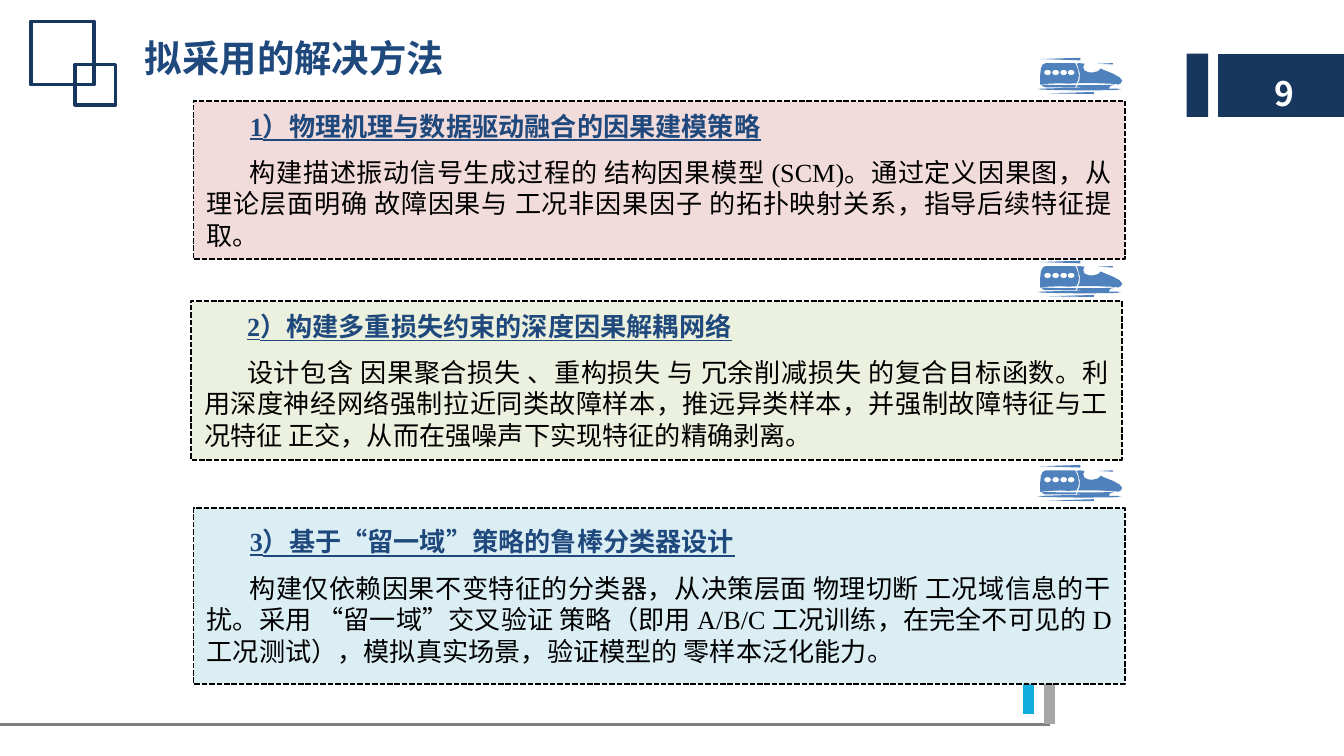
import math

import pptx
import pptx.dml.color
import pptx.enum.dml
import pptx.enum.lang
import pptx.enum.shapes
import pptx.enum.text
import pptx.oxml
import pptx.oxml.ns
import pptx.util

Inches = pptx.util.Inches
Pt = pptx.util.Pt
KIND = pptx.enum.shapes.MSO_SHAPE
HUES = {
    "navy": "17375E", "title": "1F497D", "train": "4F81BD", "cyan": "10ADDF",
    "gray": "808080", "silver": "A6A6A6", "rose": "F2DCDB", "green": "EBF1DE",
    "ice": "DBEEF4", "black": "000000", "white": "FFFFFF",
}
SERIF = "Times New Roman"
SANS = "Noto Sans CJK SC"

NOSE = [(630, 170), (620, 190), (600, 200), (580, 195), (450, 190), (300, 190),
        (312, 170), (315, 120), (300, 60), (290, 45), (310, 40), (350, 45),
        (340, 70), (350, 95), (380, 108), (410, 110), (450, 100), (470, 80),
        (490, 90), (560, 118), (610, 145)]
CABIN = [(20, 200), (20, 130), (25, 80), (38, 52), (60, 40), (280, 40),
         (290, 60), (302, 90), (308, 130), (303, 165), (290, 190), (230, 193),
         (170, 190), (50, 195)]
SKIRT = [(30, 200), (50, 200), (170, 205), (290, 205), (280, 220), (60, 220),
         (40, 213)]
TRACK = [(300, 205), (450, 205), (580, 200), (540, 210), (535, 222), (530, 230),
         (590, 230), (620, 233), (590, 240), (520, 242), (310, 243), (100, 240),
         (30, 237), (0, 233), (30, 230), (100, 228), (200, 225), (310, 225),
         (330, 222), (290, 220)]
STREAKS = [[(320, 0), (20, 10), (320, 20)],
           [(560, 40), (450, 45), (560, 50)],
           [(420, 270), (420, 255), (80, 265)]]

CARDS = [
    (1.44, 0.75, 1.18, "rose", "1）物理机理与数据驱动融合的因果建模策略",
     "构建描述振动信号生成过程的 结构因果模型 (SCM)。通过定义因果图，从理论层面明确 故障因果与 "
     "工况非因果因子 的拓扑映射关系，指导后续特征提取。"),
    (1.42, 2.24, 1.18, "green", "2）构建多重损失约束的深度因果解耦网络",
     "设计包含 因果聚合损失 、重构损失 与 冗余削减损失 的复合目标函数。利用深度神经网络强制拉近同类"
     "故障样本，推远异类样本，并强制故障特征与工况特征 正交，从而在强噪声下实现特征的精确剥离。"),
    (1.44, 3.78, 1.31, "ice", "3）基于“留一域”策略的鲁棒分类器设计",
     "构建仅依赖因果不变特征的分类器，从决策层面 物理切断 工况域信息的干扰。采用 “留一域”交叉验证 "
     "策略（即用 A/B/C 工况训练，在完全不可见的 D 工况测试），模拟真实场景，验证模型的 零样本泛化能力。"),
]


def color(name):
    return pptx.dml.color.RGBColor.from_string(HUES[name])


def window(left):
    turns = [math.tau * step / 16 for step in range(16)]
    return [(left + 25 + 25 * math.cos(turn), 110 + 20 * math.sin(turn))
            for turn in turns]


def write(para, text, size=14, hue="black", face=SERIF, bold=False, under=False,
          indent=0, after=0, pitch=None, align=None):
    para.alignment = align
    para.space_after = Pt(after)
    if pitch:
        para.line_spacing = Pt(pitch)
    para._p.get_or_add_pPr().set("indent", str(Inches(indent)))
    run = para.add_run()
    run.text = text
    font = run.font
    font.size, font.name, font.bold, font.underline = Pt(size), face, bold, under
    font.language_id = pptx.enum.lang.MSO_LANGUAGE_ID.SIMPLIFIED_CHINESE
    font.color.rgb = color(hue)
    east = pptx.oxml.parse_xml(
        f'<a:ea {pptx.oxml.ns.nsdecls("a")} typeface="{SANS}"/>')
    run._r.rPr.find(pptx.oxml.ns.qn("a:latin")).addnext(east)


class Deck:
    def __init__(self):
        self.show = pptx.Presentation()
        self.show.slide_width = Inches(10)
        self.show.slide_height = Inches(10) * 9 // 16
        self.slide = self.show.slides.add_slide(self.show.slide_layouts[6])
        self.shapes = self.slide.shapes

    def paint(self, shape, fill=None, line=None, width=1):
        shape.shadow.inherit = False
        if fill:
            shape.fill.solid()
            shape.fill.fore_color.rgb = color(fill)
        else:
            shape.fill.background()
        if line:
            shape.line.color.rgb = color(line)
            shape.line.width = Pt(width)
        else:
            shape.line.fill.background()

    def box(self, *place, kind=KIND.RECTANGLE, **style):
        shape = self.shapes.add_shape(kind, *map(Inches, place))
        self.paint(shape, **style)
        return shape

    def rule(self, *ends, hue, width):
        line = self.shapes.add_connector(
            pptx.enum.shapes.MSO_CONNECTOR.STRAIGHT, *map(Inches, ends))
        line.line.color.rgb = color(hue)
        line.line.width = Pt(width)
        line._element.spPr.append(pptx.oxml.parse_xml(
            f'<a:effectLst {pptx.oxml.ns.nsdecls("a")}/>'))

    def label(self, *place, text, inset=0.1, wrap=True, **style):
        frame = self.shapes.add_textbox(*map(Inches, place)).text_frame
        frame.word_wrap = wrap
        frame.margin_left = Inches(inset)
        frame.vertical_anchor = pptx.enum.text.MSO_ANCHOR.MIDDLE
        write(frame.paragraphs[0], text, bold=True, **style)

    def card(self, left, top, height, fill, head, body):
        shape = self.box(left, top, 6.93, height, fill=fill, line="black")
        shape.line.dash_style = pptx.enum.dml.MSO_LINE.SQUARE_DOT
        frame = shape.text_frame
        frame.word_wrap = True
        frame.vertical_anchor = pptx.enum.text.MSO_ANCHOR.MIDDLE
        style = dict(indent=0.32, after=8, pitch=16.8,
                     align=pptx.enum.text.PP_ALIGN.JUSTIFY)
        write(frame.paragraphs[0], head, hue="title", bold=True, under=True, **style)
        write(frame.add_paragraph(), body, **style)

    def train(self, left, top):
        panes = [window(edge) for edge in (50, 110, 170, 225)]
        pen = self.shapes.build_freeform(*NOSE[0], scale=Inches(1) / 1000)
        pen.add_line_segments(NOSE[1:])
        for path in [CABIN, *panes, SKIRT, TRACK, *STREAKS]:
            pen.move_to(*path[0])
            pen.add_line_segments(path[1:])
        self.paint(pen.convert_to_shape(Inches(left), Inches(top)), fill="train")


def main():
    deck = Deck()
    deck.box(0.23, 0.16, 0.47, 0.47, line="navy", width=2)
    deck.box(0.56, 0.48, 0.3, 0.3, line="navy", width=2)
    deck.box(9.06, 0.4, 0.94, 0.47, kind=KIND.FLOWCHART_PROCESS, fill="navy")
    deck.box(8.83, 0.4, 0.16, 0.47, fill="navy")
    deck.rule(0, 5.39, 7.81, 5.39, hue="gray", width=1.25)
    deck.rule(7.81, 5.39, 7.81, 4.92, hue="silver", width=5.75)
    deck.rule(7.65, 5.31, 7.65, 5, hue="cyan", width=5.75)
    deck.label(0.98, 0.21, 3.18, 0.44, text="拟采用的解决方法", size=20, hue="title")
    for card in CARDS:
        deck.card(*card)
    for top in (1.94, 0.43, 3.46):
        deck.train(7.72, top)
    deck.label(9.09, 0.45, 0.71, 0.48, text="9", inset=0.39, wrap=False,
               size=18, hue="white", face=SANS)
    deck.show.save("out.pptx")


if __name__ == "__main__":
    main()
